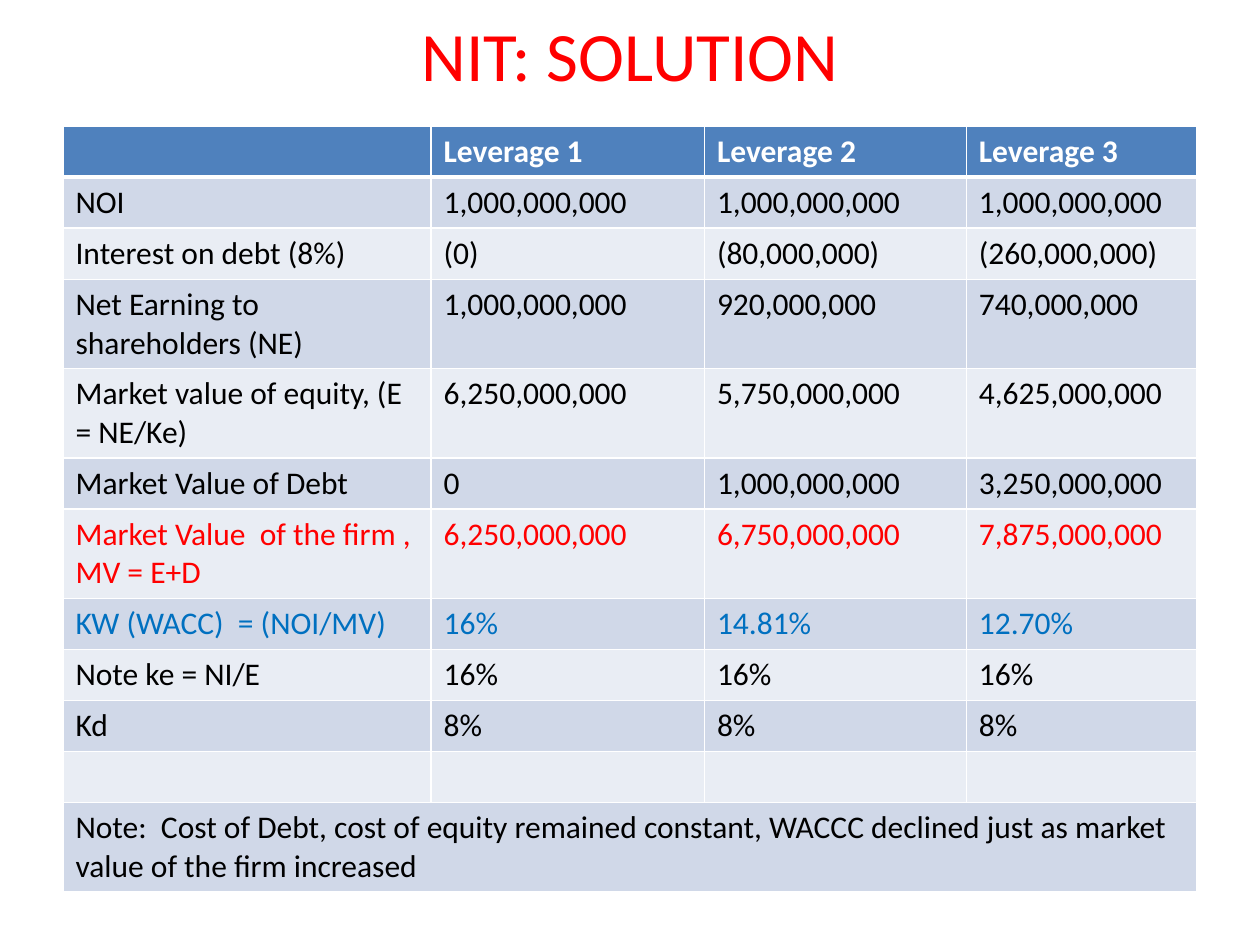
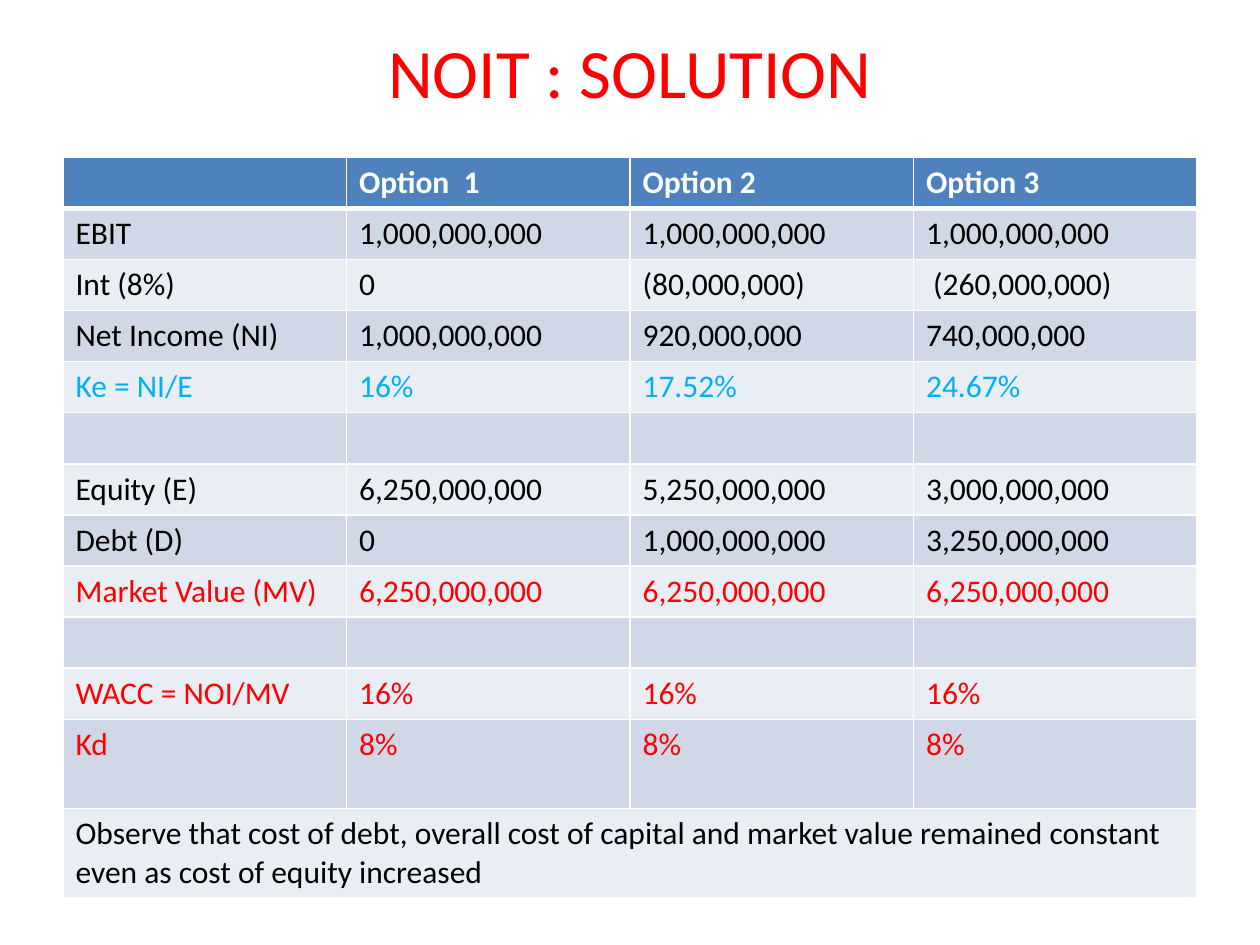
import pptx
import pptx.util
import pptx.dml.color
import pptx.enum.text
from lxml import etree
from pptx.oxml.ns import qn

Cm, Pt = pptx.util.Cm, pptx.util.Pt
HUES = {
    "white": "FFFFFF", "black": "000000", "red": "FF0000",
    "blue": "0070C0", "sky": "00B0F0",
    "head": "4F81BD", "dark": "D0D8E8", "light": "E9EDF4",
}
LEFT, WIDE = 1.27, 22.86
ONE, TWO = 1.03, 1.8  # heights of one-line and two-line rows


def rgb(hue):
    return pptx.dml.color.RGBColor.from_string(HUES[hue])


class Deck:
    def __init__(self):
        self.face = "Calibri"
        self.prs = pptx.Presentation()
        self.prs.slide_width, self.prs.slide_height = Cm(25.4), Cm(19.05)
        self.slide = None

    def page(self):
        self.slide = self.prs.slides.add_slide(self.prs.slide_layouts[6])

    def style(self, para, size, hue, bold=False):
        font = para.font
        font.name, font.size, font.bold = self.face, Pt(size), bold
        font.color.rgb = rgb(hue)

    def title(self, text, top, high):
        box = self.slide.shapes.add_textbox(Cm(LEFT), Cm(top), Cm(WIDE), Cm(high))
        frame = box.text_frame
        frame.word_wrap = True
        frame.vertical_anchor = pptx.enum.text.MSO_ANCHOR.MIDDLE
        para = frame.paragraphs[0]
        para.text = text
        para.alignment = pptx.enum.text.PP_ALIGN.CENTER
        self.style(para, 39.6, "red")

    def edges(self, cell, row):
        props = cell._tc.get_or_add_tcPr()
        thick = {("B", 0), ("T", 1)}  # rule under the header
        for side in "LRTB":
            width = Pt(3 if (side, row) in thick else 1)
            line = etree.SubElement(props, qn(f"a:ln{side}"), w=str(width))
            fill = etree.SubElement(line, qn("a:solidFill"))
            etree.SubElement(fill, qn("a:srgbClr"), val=HUES["white"])

    def cell(self, cell, row, text, hue):
        self.edges(cell, row)
        cell.fill.solid()
        cell.fill.fore_color.rgb = rgb("head" if row == 0 else "dark" if row % 2 else "light")
        para = cell.text_frame.paragraphs[0]
        para.text = text
        self.style(para, 18, hue, bold=row == 0)

    def table(self, top, cols, rows, tall):
        """Rows are (hue, texts); the last row spans the table."""
        highs = [TWO if r in tall else ONE for r in range(len(rows))]
        grid = self.slide.shapes.add_table(
            len(rows), len(cols), Cm(LEFT), Cm(top), Cm(WIDE), Cm(sum(highs))).table
        for col, width in zip(grid.columns, cols):
            col.width = Cm(width)
        for r, (hue, texts) in enumerate(rows):
            grid.rows[r].height = Cm(highs[r])
            for c in range(len(cols)):
                self.cell(grid.cell(r, c), r, texts[c] if c < len(texts) else "", hue)
        last = len(rows) - 1
        grid.cell(last, 0).merge(grid.cell(last, len(cols) - 1))


BILL = "1,000,000,000"
BASE = "6,250,000,000"
DEBT = ("0", BILL, "3,250,000,000")
NET = (BILL, "920,000,000", "740,000,000")
SAME = ("16%",) * 3
RATE = ("Kd",) + ("8%",) * 3
GAP = ("black", ())

NIT = [
    ("white", ("", "Leverage 1", "Leverage 2", "Leverage 3")),
    ("black", ("NOI", BILL, BILL, BILL)),
    ("black", ("Interest on debt (8%)", "(0)", "(80,000,000)", "(260,000,000)")),
    ("black", ("Net Earning to shareholders (NE)", *NET)),
    ("black", ("Market value of equity, (E = NE/Ke)", BASE, "5,750,000,000", "4,625,000,000")),
    ("black", ("Market Value of Debt", *DEBT)),
    ("red", ("Market Value  of the firm , MV = E+D", BASE, "6,750,000,000", "7,875,000,000")),
    ("blue", ("KW (WACC)  = (NOI/MV)", "16%", "14.81%", "12.70%")),
    ("black", ("Note ke = NI/E", *SAME)),
    ("black", RATE),
    GAP,
    ("black", ("Note:  Cost of Debt, cost of equity remained constant, WACCC declined "
               "just as market value of the firm increased",)),
]

NOIT = [
    ("white", ("", "Option  1", "Option 2", "Option 3")),
    ("black", ("EBIT", BILL, BILL, BILL)),
    ("black", ("Int (8%)", "0", "(80,000,000)", " (260,000,000)")),
    ("black", ("Net Income (NI)", *NET)),
    ("sky", ("Ke = NI/E", "16%", "17.52%", "24.67%")),
    GAP,
    ("black", ("Equity (E)", BASE, "5,250,000,000", "3,000,000,000")),
    ("black", ("Debt (D)", *DEBT)),
    ("red", ("Market Value (MV)", BASE, BASE, BASE)),
    GAP,
    ("red", ("WACC = NOI/MV", *SAME)),
    ("red", RATE),
    ("black", ("Observe that cost of debt, overall cost of capital and market value "
               "remained constant even as cost of equity increased",)),
]


def main():
    deck = Deck()

    # Net income theory
    deck.page()
    deck.title("NIT: SOLUTION", 0.2, 1.78)
    deck.table(2.54, (7.42, 5.51, 5.28, 4.65), NIT, tall={3, 4, 6, 11})

    # Net operating income theory
    deck.page()
    deck.title("NOIT : SOLUTION", 0.43, 1.98)
    deck.table(3.17, [WIDE / 4] * 4, NOIT, tall={11, 12})

    deck.prs.save("out.pptx")


if __name__ == "__main__":
    main()
